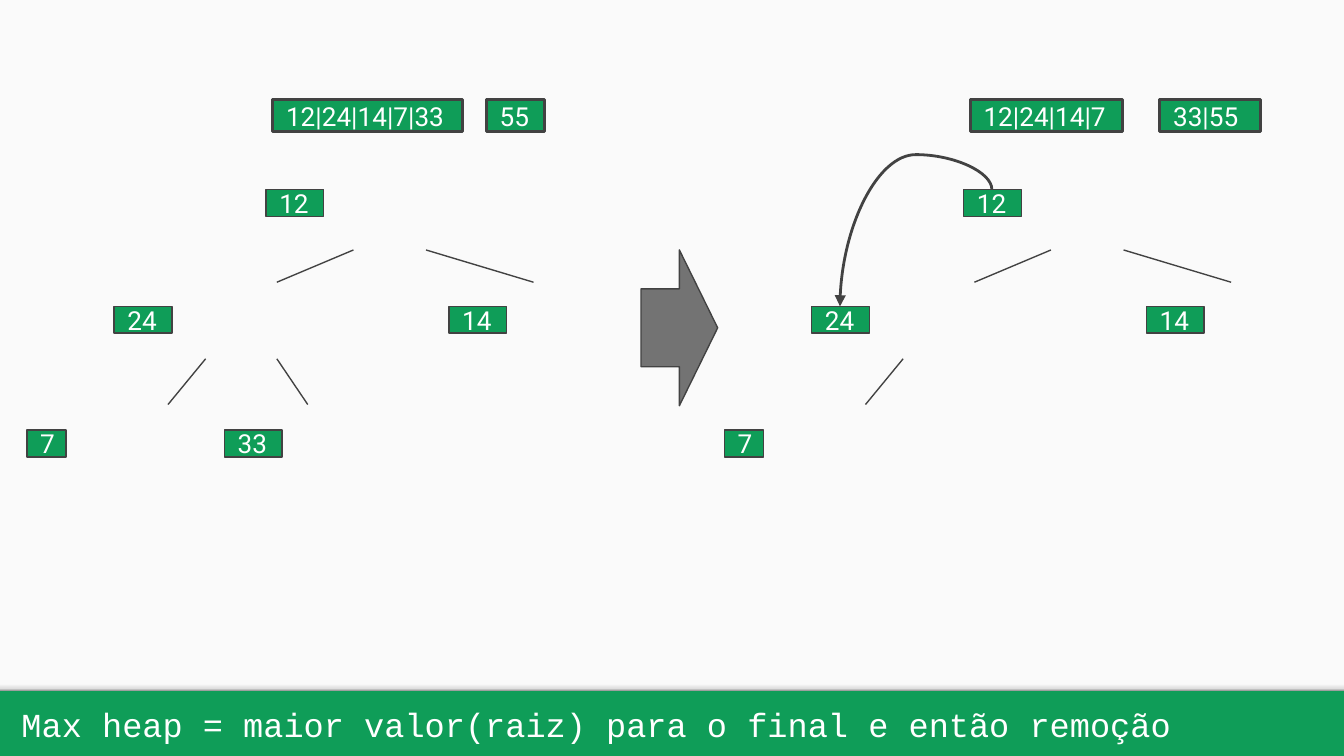
from dataclasses import dataclass

from lxml import etree
from pptx import Presentation
from pptx import util as u
from pptx.dml.color import RGBColor
from pptx.enum import shapes, text
from pptx.oxml import ns


@dataclass(frozen=True)
class Theme:
    """Colours, type sizes, fonts and line widths of the slide."""
    green: str = "0F9D58"
    panel: str = "FAFAFA"
    ink: str = "424242"
    arrow: str = "737373"
    white: str = "FFFFFF"
    shade: tuple = ((0, "F9F9F9"), (36, "F9F9F9"), (80, "DEDEDE"), (100, "999999"))
    caption_font: str = "Courier New"
    value_font: str = "Roboto"
    caption_size: int = 18
    value_size: int = 14
    thin: float = 0.75
    thick: float = 1.5


THEME = Theme()
COLUMNS = 10
ROWS = COLUMNS * 9 / 16
CELL = u.Inches(1)
NODE_WIDTH, NODE_HEIGHT, LEAF_WIDTH, LIST_HEIGHT = 0.43, 0.2, 0.29, 0.24
LIST_ROW, ROOT_ROW, CHILD_ROW, LEAF_ROW = 0.74, 1.41, 2.28, 3.2
TREE_SHIFT = 5.19
NODES = {
    "12": (1.98, ROOT_ROW, NODE_WIDTH),
    "24": (0.85, CHILD_ROW, NODE_WIDTH),
    "7": (0.2, LEAF_ROW, LEAF_WIDTH),
    "14": (3.34, CHILD_ROW, NODE_WIDTH),
    "33": (1.67, LEAF_ROW, NODE_WIDTH),
}
EDGES = {
    "24": (2.63, 1.86, 2.06, 2.1),
    "14": (3.17, 1.86, 3.97, 2.1),
    "7": (1.53, 2.67, 1.25, 3.01),
    "33": (2.06, 2.67, 2.29, 3.01),
}
LISTS = (
    ("12|24|14|7|33", 2.03, 1.41),
    ("55", 3.62, NODE_WIDTH),
    ("12|24|14|7", 7.22, 1.13),
    ("33|55", 8.63, 0.75),
)


def cells(*counts):
    """Turn grid counts into slide lengths."""
    return [round(count * CELL) for count in counts]


def colour(code):
    """Return the colour for a hex code."""
    return RGBColor.from_string(code)


def write(box, words, font, size):
    """Put one left-aligned white line in a box, centred in height."""
    frame = box.text_frame
    frame.word_wrap = True
    frame.auto_size = text.MSO_AUTO_SIZE.NONE
    frame.vertical_anchor = text.MSO_ANCHOR.MIDDLE
    frame.margin_left = frame.margin_right = u.Inches(0.1)
    frame.margin_top = frame.margin_bottom = u.Inches(0.1)
    para = frame.paragraphs[0]
    para.alignment = text.PP_ALIGN.LEFT
    span = para.add_run()
    span.text = words
    span.font.name = font
    span.font.size = u.Pt(size)
    span.font.color.rgb = colour(THEME.white)


def add_block(page, kind, place, fill, width=None):
    """Add a filled preset shape, outlined when a line width is given."""
    block = page.shapes.add_shape(kind, *cells(*place))
    block.shadow.inherit = False
    block.fill.solid()
    block.fill.fore_color.rgb = colour(fill)
    if width:
        block.line.color.rgb = colour(THEME.ink)
        block.line.width = u.Pt(width)
    else:
        block.line.fill.background()
    return block


def add_value(page, words, place, width):
    """Add a green box holding heap values."""
    box = add_block(page, shapes.MSO_SHAPE.RECTANGLE, place, THEME.green, width)
    write(box, words, THEME.value_font, THEME.value_size)


def add_link(page, kind, ends, width):
    """Add a shadowless connector between two grid points."""
    link = page.shapes.add_connector(kind, *cells(*ends))
    link.line.color.rgb = colour(THEME.ink)
    link.line.width = u.Pt(width)
    etree.SubElement(link._element.spPr, ns.qn("a:effectLst"))
    return link


def add_swap(page):
    """Add the curved arrow from the root to its left child."""
    left, top, width, height = 6.38, 1.28, CHILD_ROW - ROOT_ROW, 1.13
    ends = (left, top, left + width, top + height)
    curve = add_link(page, shapes.MSO_CONNECTOR.CURVE, ends, THEME.thick)
    properties = curve._element.spPr
    properties.find(ns.qn("a:xfrm")).set("rot", str(90 * 60000))
    guides = properties.find(ns.qn("a:prstGeom")).find(ns.qn("a:avLst"))
    etree.SubElement(guides, ns.qn("a:gd"), name="adj1", fmla="val -29800")
    outline = properties.find(ns.qn("a:ln"))
    etree.SubElement(outline, ns.qn("a:tailEnd"), type="triangle")


def add_tree(page, values, shift):
    """Add the edges and nodes of one heap, moved right by some columns."""
    for value in values:
        if value in EDGES:
            x1, y1, x2, y2 = EDGES[value]
            ends = (x1 + shift, y1, x2 + shift, y2)
            add_link(page, shapes.MSO_CONNECTOR.STRAIGHT, ends, THEME.thin)
    for value in values:
        column, row, width = NODES[value]
        add_value(page, value, (column + shift, row, width, NODE_HEIGHT), THEME.thin)


def add_backdrop(page):
    """Add the light panel and the shade above the caption band."""
    page.background.fill.solid()
    page.background.fill.fore_color.rgb = colour(THEME.green)
    rectangle = shapes.MSO_SHAPE.RECTANGLE
    add_block(page, rectangle, (0, 0, COLUMNS, 5.14), THEME.panel)
    shade = add_block(page, rectangle, (0, 5.06, COLUMNS, 0.08), THEME.panel)
    shade.fill.gradient()
    shade.fill.gradient_angle = 270
    stops = shade._element.spPr.find(ns.qn("a:gradFill")).find(ns.qn("a:gsLst"))
    for stop in list(stops):
        stops.remove(stop)
    for percent, code in THEME.shade:
        stop = etree.SubElement(stops, ns.qn("a:gs"), pos=str(percent * 1000))
        etree.SubElement(stop, ns.qn("a:srgbClr"), val=code)


def add_caption(page, words):
    """Move the title into the bottom band and fill it."""
    title = page.shapes.title
    title.left, title.top, title.width, title.height = cells(0.06, 5.14, 9.17, 0.49)
    write(title, words, THEME.caption_font, THEME.caption_size)


def main():
    """Build the heap removal slide."""
    deck = Presentation()
    deck.slide_width, deck.slide_height = cells(COLUMNS, ROWS)
    page = deck.slides.add_slide(deck.slide_layouts[5])
    add_backdrop(page)
    add_caption(page, "Max heap = maior valor(raiz) para o final e então remoção")
    add_tree(page, ("12", "24", "7", "14", "33"), 0)
    add_tree(page, ("12", "24", "7", "14"), TREE_SHIFT)
    for words, column, width in LISTS:
        add_value(page, words, (column, LIST_ROW, width, LIST_HEIGHT), THEME.thick)
    step = (4.77, 1.86, 0.57, 1.16)
    add_block(page, shapes.MSO_SHAPE.RIGHT_ARROW, step, THEME.arrow, THEME.thin)
    add_swap(page)
    deck.save("out.pptx")


if __name__ == "__main__":
    main()
